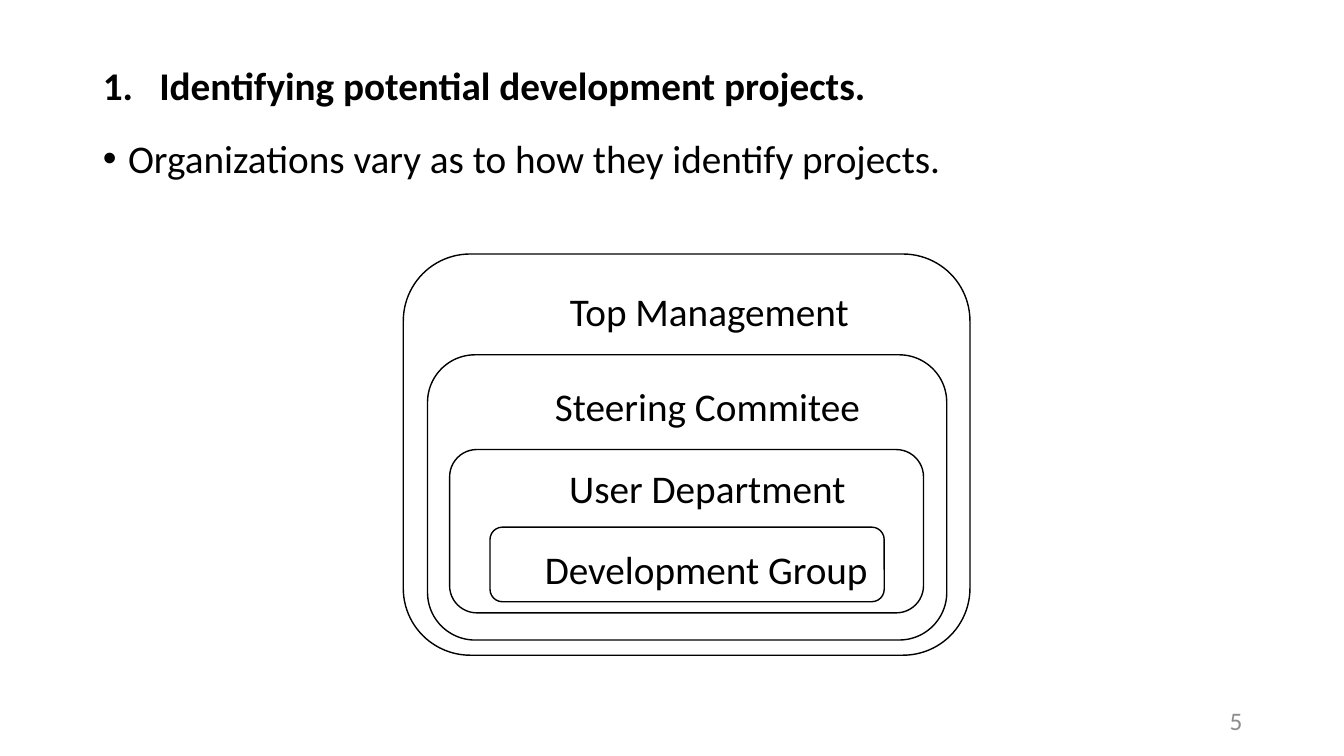
from lxml import etree
from pptx import Presentation, util as u
from pptx.dml.color import RGBColor
from pptx.enum import shapes, text
from pptx.oxml.ns import qn

PX = 9144  # EMU in one px, 100 px to the inch
FONT = "Calibri"
BLACK, WHITE, GRAY = "000000", "FFFFFF", "8C8C8C"

# Nested levels: label, box (left, top, width, height), label (left, top)
LEVELS = [
    ("Top Management", (400, 252, 562, 398), (507, 280)),
    ("Steering Commitee", (424, 352, 515, 283), (505, 374)),
    ("User Department", (446, 446, 470, 162), (505, 456)),
    ("Development Group", (486, 523, 391, 74), (504, 536)),
]


def px(*nums):
    return [u.Emu(n * PX) for n in nums]


def color(code):
    return RGBColor.from_string(code)


def style(para, size, code, align, bold=False):
    para.alignment = align
    for run in para.runs:
        font = run.font
        font.name, font.size, font.bold = FONT, u.Pt(size), bold
        font.color.rgb = color(code)


def bullet(para, indent, tag, **attrs):
    props = para._p.get_or_add_pPr()
    props.set("marL", str(indent * PX))
    props.set("indent", str(-indent * PX))
    face = etree.SubElement(props, qn("a:buFont"))
    face.set("typeface", FONT if tag == "a:buAutoNum" else "Arial")
    mark = etree.SubElement(props, qn(tag))
    for key, val in attrs.items():
        mark.set(key, val)


def fill_body(body):
    body.left, body.top, body.width, body.height = px(92, 61, 1150, 689)
    frame = body.text_frame
    frame.auto_size = text.MSO_AUTO_SIZE.NONE
    frame.text = ("Identifying potential development projects.\n"
                  "Organizations vary as to how they identify projects.")
    head, item = frame.paragraphs
    for para in (head, item):
        para.line_spacing = 0.9
        para.space_before, para.space_after = u.Pt(10), u.Pt(12)
        style(para, 28, BLACK, text.PP_ALIGN.JUSTIFY, para is head)
    bullet(head, 56, "a:buAutoNum", type="arabicPeriod")
    bullet(item, 25, "a:buChar", char="•")


def add_box(group, place):
    box = group.shapes.add_shape(
        shapes.MSO_SHAPE.ROUNDED_RECTANGLE, *px(*place))
    box.shadow.inherit = False
    box.fill.solid()
    box.fill.fore_color.rgb = color(WHITE)
    box.line.color.rgb = color(BLACK)
    box.line.width = u.Pt(1)


def add_label(owner, words, place, size, code, align):
    label = owner.shapes.add_textbox(*px(*place))
    frame = label.text_frame
    frame.word_wrap = True
    frame.text = words
    style(frame.paragraphs[0], size, code, align)
    return frame


def main():
    deck = Presentation()
    deck.slide_width, deck.slide_height = px(1333, 750)
    slide = deck.slides.add_slide(deck.slide_layouts[1])

    # Heading and list; this slide has no title
    title = slide.shapes.title._element
    title.getparent().remove(title)
    fill_body(slide.placeholders[1])

    # Page number
    page = add_label(slide, "5", (942, 695, 300, 40), 18, GRAY,
                     text.PP_ALIGN.RIGHT)
    page.vertical_anchor = text.MSO_ANCHOR.MIDDLE

    # Nested levels, from the outside in
    group = slide.shapes.add_group_shape()
    for words, place, spot in LEVELS:
        add_box(group, place)
        add_label(group, words, (*spot, 393, 57), 28, BLACK,
                  text.PP_ALIGN.CENTER)

    deck.save("out.pptx")


if __name__ == "__main__":
    main()
